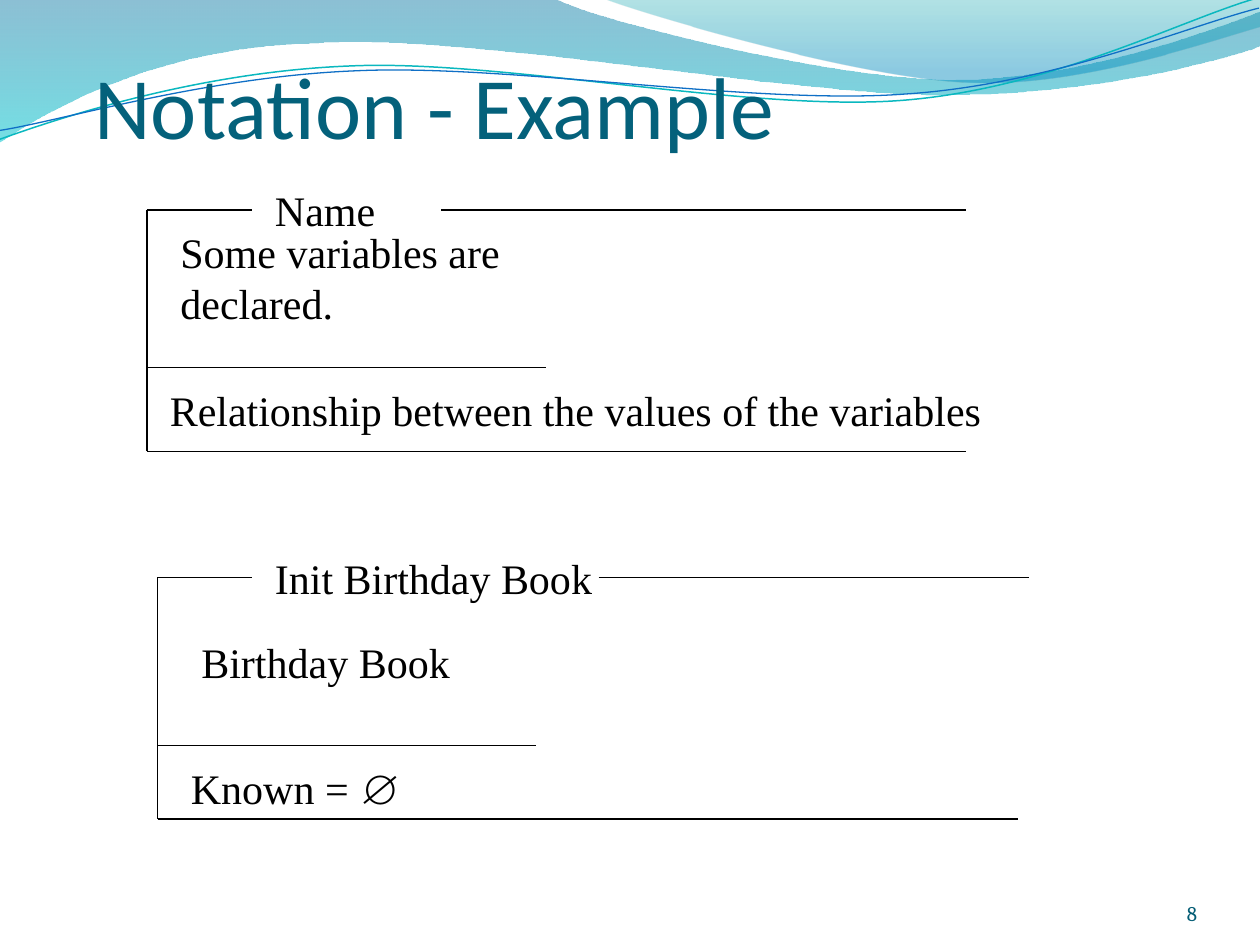
from lxml import etree
from pptx import Presentation
from pptx.dml.color import RGBColor
from pptx.enum.shapes import MSO_CONNECTOR as Connector
from pptx.enum.text import MSO_ANCHOR as Anchor, PP_ALIGN as Align
from pptx.oxml.ns import qn
from pptx.util import Inches, Pt

GRID = 12  # the schemas sit on a grid of twelfths of an inch

color = RGBColor.from_string

deck = Presentation()
deck.slide_width, deck.slide_height = Inches(10), Inches(7.5)
page = deck.slides.add_slide(deck.slide_layouts[6])


def add_outline(start, segments, close):
    """Segments hold one point for a line, or three for a Bezier curve."""
    builder = page.shapes.build_freeform(Inches(start[0]), Inches(start[1]))
    points = [(Inches(x), Inches(y)) for segment in segments for x, y in segment]
    builder.add_line_segments(points, close=close)
    shape = builder.convert_to_shape()
    shape.shadow.inherit = False
    # Gather each three line points into one curve
    lines = iter(list(shape._element.spPr.iter(qn("a:lnTo"))))
    for segment in segments:
        first = next(lines)
        if len(segment) == 3:
            first.tag = qn("a:cubicBezTo")
            for _ in range(2):
                line = next(lines)
                first.append(line[0])
                line.getparent().remove(line)
    return shape


def add_text(text, left, top, width, height, size=24, font="Times New Roman", ink="000000"):
    box = page.shapes.add_textbox(Inches(left), Inches(top), Inches(width), Inches(height))
    frame = box.text_frame
    frame.word_wrap = True
    frame.text = text
    span = frame.paragraphs[0].runs[0]
    span.font.size = Pt(size)
    span.font.name = font
    span.font.color.rgb = color(ink)
    return frame


# Header waves: start, segments, gradient stops (position, colour, opacity %)
waves = [
    ((0, 0),
     [[(4.4, -0.01)],
      [(4.76, 0.17), (6.64, 0.63), (7.58, 0.63)],
      [(8.53, 0.63), (9.58, 0.26), (10, 0.09)],
      [(10.01, 0.36)],
      [(9.83, 0.44), (8.7, 0.76), (7.46, 0.75)],
      [(6.22, 0.75), (3.82, 0.28), (2.57, 0.34)],
      [(1.29, 0.36), (0.46, 0.83), (-0.01, 1.13)],
      [(0, 0)]],
     [(0, "0074A1", 45), (1, "00C6CF", 55)]),
    ((4.79, -0.01),
     [[(5.09, 0.11), (6.82, 0.62), (7.69, 0.65)],
      [(8.56, 0.69), (9.61, 0.32), (10, 0.21)],
      [(10, 0)],
      [(4.79, -0.01)]],
     [(0, "00A1A9", 30), (0.8, "008BBF", 45)]),
]
for start, segments, stops in waves:
    wave = add_outline(start, segments, close=True)
    wave.line.fill.background()
    wave.fill.gradient()
    wave.fill.gradient_angle = 270
    for stop, (position, tint, _) in zip(wave.fill.gradient_stops, stops):
        stop.position = position
        stop.color.rgb = color(tint)
    tints = list(wave._element.spPr.iter(qn("a:srgbClr")))
    for tint, (_, _, opacity) in zip(tints, stops):
        etree.SubElement(tint, qn("a:alpha"), val=str(opacity * 1000))

# Header curves, slightly tilted
curves = [
    ((-0.02, 0.87),
     [[(0.47, 0.72), (1.58, 0.41), (2.78, 0.42)],
      [(3.96, 0.42), (5.91, 0.93), (7.12, 0.9)],
      [(8.32, 0.87), (9.4, 0.36), (10, 0.22)]], "0AB8BF", 0.85),
    ((-0.02, 0.8),
     [[(0.46, 0.75), (1.64, 0.45), (2.83, 0.46)],
      [(4.03, 0.46), (5.96, 0.88), (7.16, 0.85)],
      [(8.35, 0.83), (9.42, 0.42), (10.01, 0.3)]], "0F6FC6", 0.75),
]
for start, segments, tint, width in curves:
    curve = add_outline(start, segments, close=False)
    curve.rotation = 357.3
    curve.fill.background()
    curve.line.color.rgb = color(tint)
    curve.line.width = Pt(width)

# Title and slide number
title = add_text("Notation - Example", 0.75, 0.25, 8.25, 1, 50, "Calibri", "04617B")
number = add_text("8", 8.67, 6.95, 0.83, 0.4, 12, "Cambria", "045D75")
number.paragraphs[0].alignment = Align.RIGHT
for frame, inset_top in ((title, 0.05), (number, 0)):
    frame.vertical_anchor = Anchor.BOTTOM
    frame.margin_left = frame.margin_right = frame.margin_bottom = 0
    frame.margin_top = Inches(inset_top)

# Schema frames in grid units: left, top, divider and bottom, then the line ends
schemas = [
    (14, 20, 35, 43, 42, 92, 52, 92),
    (15, 55, 71, 78, 57, 98, 51, 97),
]
for left, top, divider, bottom, name_end, top_end, divider_end, bottom_end in schemas:
    for ends in (
        (left, top, 24, top),
        (name_end, top, top_end, top),
        (left, top, left, bottom),
        (left, divider, divider_end, divider),
        (left, bottom, bottom_end, bottom),
    ):
        rule = page.shapes.add_connector(
            Connector.STRAIGHT, *(Inches(end / GRID) for end in ends))
        rule.line.color.rgb = color("000000")
        rule.line.width = Pt(0.75)
        etree.SubElement(rule._element.spPr, qn("a:effectLst"))

# Schema texts in grid units: left, top, width, height
for text, *place in (
    ("Name", 25, 17, 14, 6),
    ("Some variables are declared.", 16, 21, 38, 10.8),
    ("Relationship between the values of the variables", 15, 36, 83, 6),
    ("Init Birthday Book", 25, 52, 33, 6),
    ("Birthday Book", 18, 60, 37, 6),
    ("Known = ∅", 17, 72, 31, 6),
):
    add_text(text, *(units / GRID for units in place))

deck.save("out.pptx")
